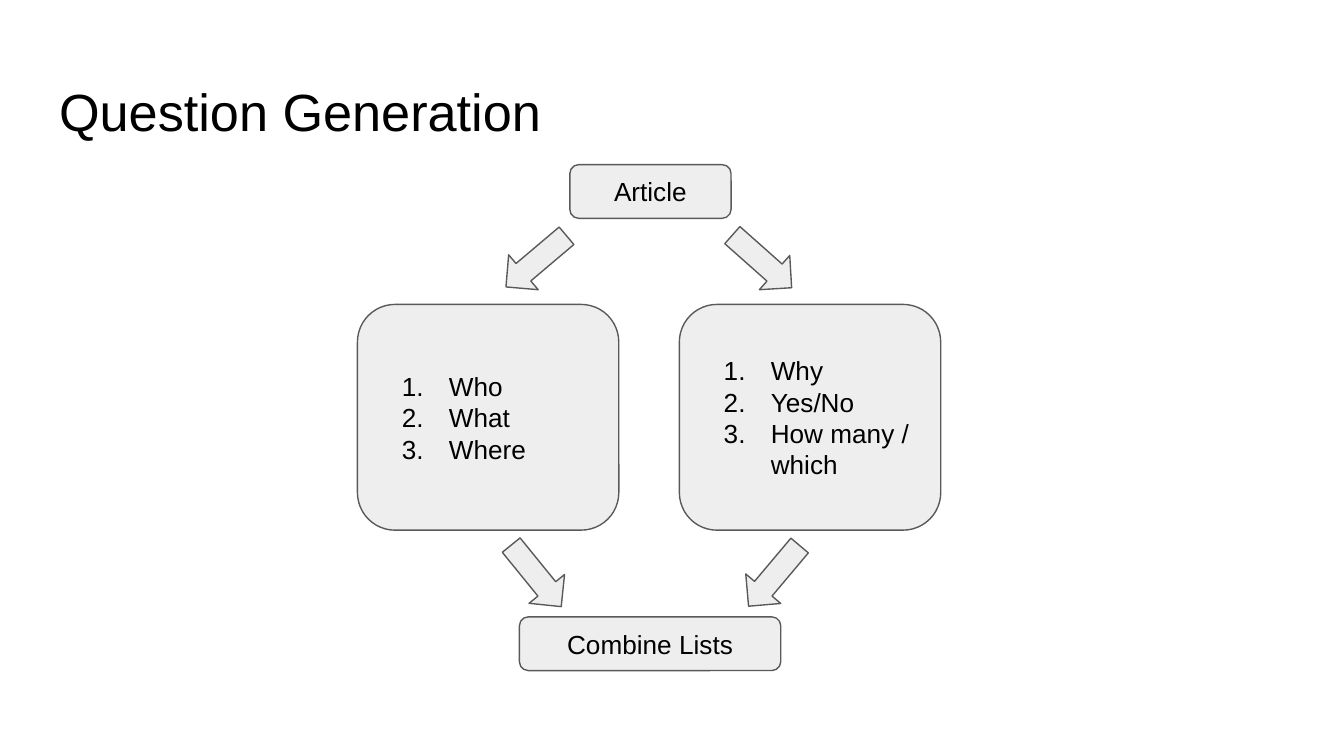
from lxml.etree import SubElement
from pptx import Presentation
from pptx.dml.color import RGBColor
from pptx.enum.shapes import MSO_SHAPE as Shape
from pptx.enum.text import MSO_ANCHOR as Anchor, PP_ALIGN as Align
from pptx.oxml.ns import qn
from pptx.util import Inches, Pt

# A 16:9 page with a grid of square cells
deck = Presentation()
deck.slide_width = Inches(10)
deck.slide_height = deck.slide_width * 9 // 16
column = deck.slide_width / 100
row = deck.slide_height / 56.25


def paint(target, fill=None, line=None):
    """Colour a shape's fill and outline."""
    target.shadow.inherit = False
    target.fill.solid()
    target.fill.fore_color.rgb = RGBColor.from_string(fill)
    target.line.color.rgb = RGBColor.from_string(line)
    target.line.width = Pt(0.75)


def write(box, text, size=14, color="000000", align=Align.CENTER,
          anchor=Anchor.MIDDLE, numbered=False):
    """Fill a shape with one paragraph per line of text."""
    frame = box.text_frame
    frame.word_wrap = True
    frame.vertical_anchor = anchor
    frame.margin_left = frame.margin_right = Inches(0.1)
    frame.margin_top = frame.margin_bottom = Inches(0.1)
    for index, words in enumerate(text.split("\n")):
        para = frame.add_paragraph() if index else frame.paragraphs[0]
        para.alignment = align
        span = para.add_run()
        span.text = words
        span.font.name, span.font.size = "Arial", Pt(size)
        span.font.color.rgb = RGBColor.from_string(color)
        if numbered:
            props = para._p.get_or_add_pPr()
            props.set("marL", str(Inches(0.5)))
            props.set("indent", str(Inches(-0.35)))
            bullet_color = SubElement(props, qn("a:buClr"))
            SubElement(bullet_color, qn("a:srgbClr"), val=color)
            SubElement(props, qn("a:buFont"), typeface="Arial")
            SubElement(props, qn("a:buAutoNum"), type="arabicPeriod")


# Title
page = deck.slides.add_slide(deck.slide_layouts[5])
title = page.shapes.title
title.left, title.top = int(3.4 * column), int(4.9 * row)
title.width, title.height = int(93.2 * column), int(6.3 * row)
write(title, "Question Generation", size=28, align=Align.LEFT, anchor=Anchor.TOP)

# Boxes: left and width in columns, top and height in rows
boxes = [
    ("Article", 42.4, 12.25, 12, 4, False),
    ("Who\nWhat\nWhere", 26.6, 22.65, 19.45, 16.8, True),
    ("Why\nYes/No\nHow many / which", 50.55, 22.65, 19.45, 16.8, True),
    ("Combine Lists", 38.65, 45.9, 19.45, 4, False),
]
for text, left, top, width, height, numbered in boxes:
    box = page.shapes.add_shape(
        Shape.ROUNDED_RECTANGLE, int(left * column), int(top * row),
        int(width * column), int(height * row))
    paint(box, fill="EEEEEE", line="595959")
    write(box, text, numbered=numbered,
          align=Align.LEFT if numbered else Align.CENTER)

# Block arrows from the article to the lists, then to the combined list
arrows = [
    (36.95, 17.75, 319.8),
    (53.75, 17.75, 221.6),
    (36.95, 41.15, 230.9),
    (54.65, 41.15, 310.1),
]
for left, top, angle in arrows:
    arrow = page.shapes.add_shape(
        Shape.LEFT_ARROW, int(left * column), int(top * row),
        int(5.9 * column), int(3.4 * row))
    arrow.rotation = angle
    paint(arrow, fill="EEEEEE", line="595959")

deck.save("out.pptx")
